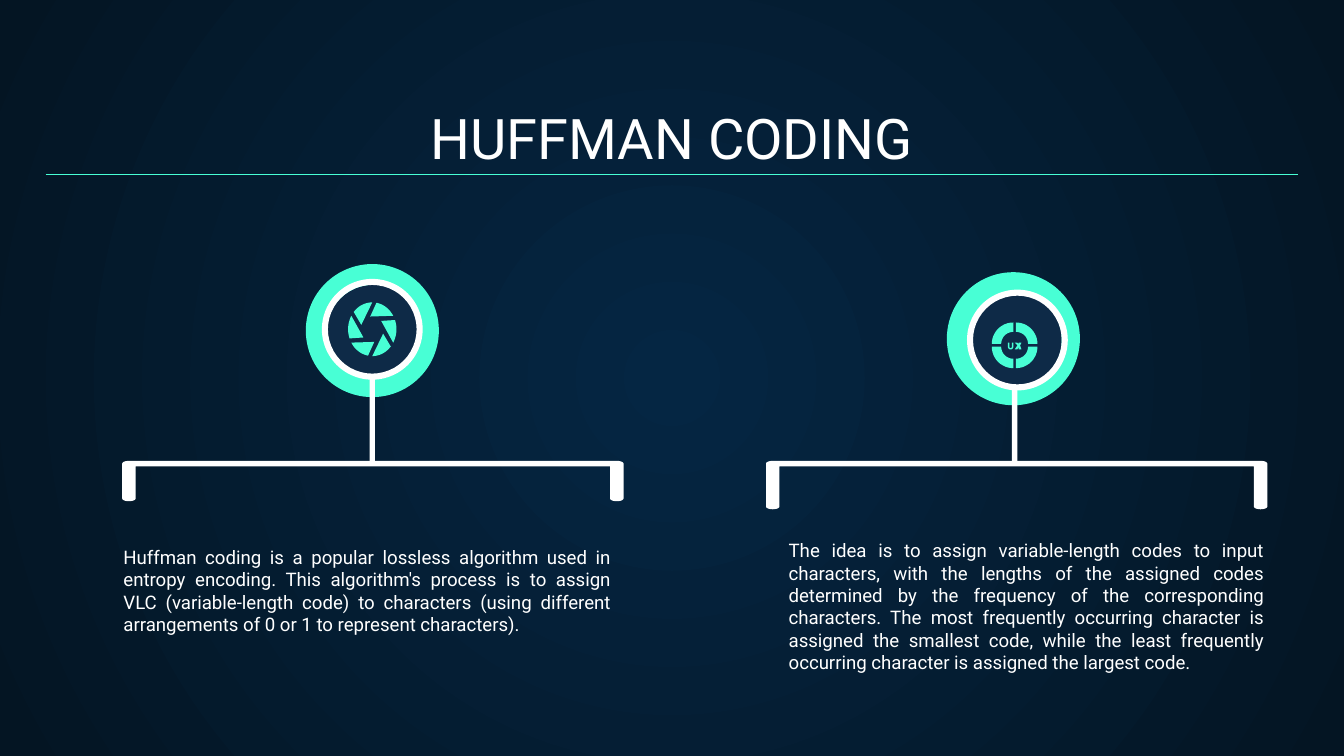
from math import cos, radians, sin

from lxml.etree import SubElement
from pptx import Presentation
from pptx.dml.color import RGBColor
from pptx.enum.shapes import MSO_CONNECTOR as Connector, MSO_SHAPE as Preset
from pptx.enum.text import MSO_ANCHOR as Anchor, PP_ALIGN as Align
from pptx.oxml.ns import qn
from pptx.util import Inches, Pt

WHITE, MINT, NAVY = "FFFFFF", "48FFD5", "0E2A47"
GLOW, EDGE = "052643", "041523"

TITLE = "HUFFMAN CODING"
DEFINITION = (
    "Huffman coding is a popular lossless algorithm used in entropy encoding. "
    "This algorithm's process is to assign VLC (variable-length code) to characters "
    "(using different arrangements of 0 or 1 to represent characters)."
)
IDEA = (
    "The idea is to assign variable-length codes to input characters, with the lengths "
    "of the assigned codes determined by the frequency of the corresponding characters. "
    "The most frequently occurring character is assigned the smallest code, while the "
    "least frequently occurring character is assigned the largest code."
)


def color(value):
    return RGBColor.from_string(value)


def arc(cx, cy, rx, ry, start, end, steps=12):
    angles = [radians(start + (end - start) * i / steps) for i in range(steps + 1)]
    return [(cx + rx * cos(a), cy + ry * sin(a)) for a in angles]


def apply(target, values):
    for name, value in values.items():
        setattr(target, name, value)


class Deck:
    font = "Roboto"
    frame_format = {"word_wrap": True} | {
        f"margin_{side}": Inches(0.1) for side in ("left", "top", "right", "bottom")
    }

    def __init__(self):
        self.deck = Presentation()
        size = {"slide_width": Inches(10), "slide_height": Inches(10 * 9 / 16)}
        apply(self.deck, size)
        self.slide = self.deck.slides.add_slide(self.deck.slide_layouts[6])

    def background(self, center, edge):
        fill = self.slide.background.fill
        fill.gradient()
        for stop, value in zip(fill.gradient_stops, (center, edge)):
            stop.color.rgb = color(value)
        gradient = next(self.slide.element.iter(qn("a:gradFill")))
        gradient.remove(gradient.find(qn("a:lin")))
        radial = SubElement(gradient, qn("a:path"), path="circle")
        SubElement(radial, qn("a:fillToRect"), dict.fromkeys("ltrb", "50000"))

    def text(self, words, box, size, align, anchor=Anchor.TOP):
        frame = self.slide.shapes.add_textbox(*map(Inches, box)).text_frame
        apply(frame, self.frame_format | {"vertical_anchor": anchor})
        paragraph = frame.paragraphs[0]
        paragraph.alignment = align
        run = paragraph.add_run()
        run.text = words
        apply(run.font, {"name": self.font, "size": Pt(size)})
        run.font.color.rgb = color(WHITE)

    def paint(self, shape, fill):
        shape.shadow.inherit = False
        shape.fill.solid()
        shape.fill.fore_color.rgb = color(fill)
        shape.line.fill.background()

    def preset(self, kind, cx, cy, width, height, fill, adjust=None):
        box = (cx - width / 2, cy - height / 2, width, height)
        shape = self.slide.shapes.add_shape(kind, *map(Inches, box))
        if adjust is not None:
            shape.adjustments[0] = adjust
        self.paint(shape, fill)

    def outline(self, points, fill, parent=None):
        first, *rest = [(Inches(x), Inches(y)) for x, y in points]
        builder = (parent or self.slide).shapes.build_freeform(*first)
        builder.add_line_segments(rest)
        self.paint(builder.convert_to_shape(), fill)

    def icon(self, outlines):
        group = self.slide.shapes.add_group_shape()
        for points in outlines:
            self.outline(points, MINT, group)

    def rule(self, left, right, y):
        ends = map(Inches, (left, y, right, y))
        line = self.slide.shapes.add_connector(Connector.STRAIGHT, *ends)
        line.line.width = Pt(0.75)
        line.line.color.rgb = color(MINT)
        SubElement(line.element.spPr, qn("a:effectLst"))

    def bracket(self, left, height):
        top, right, bottom = 3.43, left + 3.73, 3.43 + height
        near, far = left + 0.05, right - 0.05
        self.outline(
            arc(near, top + 0.02, 0.05, 0.02, 180, 270)
            + arc(far, top + 0.02, 0.05, 0.02, 270, 360)
            + arc(far, bottom - 0.02, 0.05, 0.02, 0, 180)
            + [(right - 0.1, top + 0.04), (left + 0.1, top + 0.04)]
            + arc(near, bottom - 0.02, 0.05, 0.02, 0, 180),
            WHITE,
        )

    def badge(self, disc, post, core, ring):
        self.preset(Preset.OVAL, *disc, 0.99, 0.99, MINT)
        self.preset(Preset.ROUNDED_RECTANGLE, *post, 0.04, 1, WHITE, 0.5)
        self.preset(Preset.OVAL, *core, 0.7, 0.7, NAVY)
        self.preset(Preset.DONUT, *ring, 0.75, 0.75, WHITE, 0.06)

    def aperture(self, cx, cy, rx=0.18, ry=0.2):
        blades = []
        for turn in range(0, 360, 60):
            rim = arc(cx, cy, rx, ry, 270 - turn, 220 - turn)
            tip = arc(cx, cy, 0.48 * rx, 0.48 * ry, 200 - turn, 200 - turn, 1)[:1]
            blades.append(rim + tip)
        self.icon(blades)

    def ux_wheel(self, cx, cy, gap=0.01):
        sectors = []
        for start, dx, dy in ((0, 1, 1), (90, -1, 1), (180, -1, -1), (270, 1, -1)):
            x, y = cx + dx * gap, cy + dy * gap
            outer = arc(x, y, 0.16, 0.16, start, start + 90)
            inner = arc(x, y, 0.09, 0.09, start + 90, start)
            sectors.append(outer + inner)
        left, top = cx - 0.05, cy - 0.02
        bowl = (left + 0.02, top + 0.03)
        letter_u = (
            [(left, top)]
            + arc(*bowl, 0.02, 0.02, 180, 0)
            + [(left + 0.04, top), (left + 0.03, top)]
            + arc(*bowl, 0.01, 0.01, 0, 180)
            + [(left + 0.01, top)]
        )
        strokes = (
            (0, 0), (0.02, 0), (0.03, 0.01), (0.03, 0), (0.05, 0), (0.04, 0.02),
            (0.05, 0.05), (0.03, 0.05), (0.03, 0.03), (0.02, 0.05), (0, 0.05), (0.02, 0.02),
        )
        letter_x = [(cx + dx, top + dy) for dx, dy in strokes]
        self.icon(sectors + [letter_u, letter_x])


def main():
    page = Deck()
    page.background(GLOW, EDGE)
    page.text(TITLE, (0.34, 0.71, 9.32, 0.66), 30, Align.CENTER, Anchor.BOTTOM)
    page.text(IDEA, (5.77, 3.91, 3.73, 1.11), 10, Align.JUSTIFY)
    page.text(DEFINITION, (0.82, 3.96, 3.82, 1.21), 10, Align.JUSTIFY)
    page.bracket(0.91, 0.3)
    page.badge((2.77, 2.46), (2.77, 2.95), (2.78, 2.47), (2.77, 2.45))
    page.bracket(5.7, 0.36)
    page.badge((7.54, 2.52), (7.55, 2.96), (7.55, 2.53), (7.57, 2.53))
    page.aperture(2.77, 2.45)
    page.ux_wheel(7.55, 2.57)
    page.rule(0.34, 9.66, 1.3)
    page.deck.save("out.pptx")


if __name__ == "__main__":
    main()
